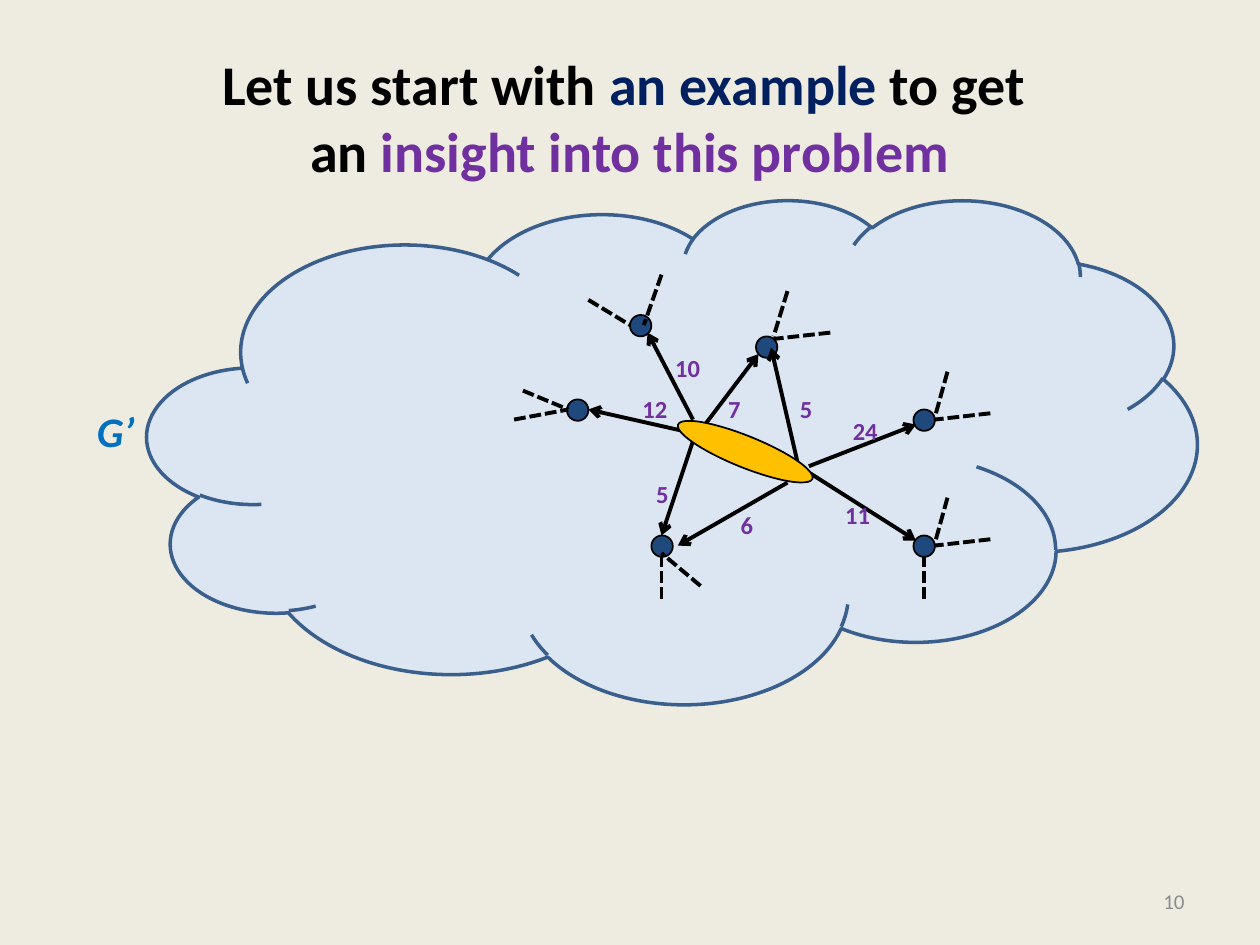
"""Build a slide showing a contracted node and its weighted edges inside a cloud graph."""
from dataclasses import dataclass

from lxml import etree
from pptx import Presentation
from pptx.dml.color import RGBColor
from pptx.enum.dml import MSO_LINE
from pptx.enum.shapes import MSO_CONNECTOR, MSO_SHAPE
from pptx.enum.text import MSO_ANCHOR, MSO_AUTO_SIZE, PP_ALIGN
from pptx.oxml.ns import qn
from pptx.util import Pt

CLOUD, ELLIPSE = MSO_SHAPE.CLOUD, MSO_SHAPE.OVAL
STRAIGHT = MSO_CONNECTOR.STRAIGHT
DASH = MSO_LINE.SQUARE_DOT
MIDDLE, TOP = MSO_ANCHOR.MIDDLE, MSO_ANCHOR.TOP
CENTER, LEFT, RIGHT = PP_ALIGN.CENTER, PP_ALIGN.LEFT, PP_ALIGN.RIGHT
GROW, FIXED = MSO_AUTO_SIZE.SHAPE_TO_FIT_TEXT, MSO_AUTO_SIZE.NONE
EMU_PER_PX = 9144
TITLE_ONLY = 5
NODE_SIZE = 17


@dataclass(frozen=True)
class Theme:
    """Colours, font and type sizes of the slide."""

    font: str = "Calibri"
    background: str = "EEECE1"
    ink: str = "000000"
    navy: str = "002060"
    purple: str = "7030A0"
    blue: str = "0070C0"
    gray: str = "8C8C8C"
    cloud: str = "DCE6F2"
    cloud_line: str = "3A5F8C"
    node: str = "1F497D"
    hub: str = "FFC000"
    title_size: int = 32
    graph_size: int = 24
    weight_size: int = 14
    number_size: int = 12
    cloud_width: float = 2
    edge_width: float = 2.25
    outline_width: float = 1


def px(*lengths):
    """Turn px lengths into EMU."""
    return [length * EMU_PER_PX for length in lengths]


class Canvas:
    """Hold the theme and the current slide."""

    def __init__(self, page, theme):
        self.page = page
        self.theme = theme
        fill = page.background.fill
        fill.solid()
        fill.fore_color.rgb = RGBColor.from_string(theme.background)

    def span(self, para, text, size, color, bold=True, italic=False):
        """Add one formatted run."""
        span = para.add_run()
        span.text = text
        font = span.font
        font.name, font.size = self.theme.font, Pt(size)
        font.bold, font.italic = bold, italic
        font.color.rgb = RGBColor.from_string(color)

    def title(self, bounds, lines):
        """Fill the title placeholder with lines of coloured runs."""
        box = self.page.shapes.title
        box.left, box.top, box.width, box.height = px(*bounds)
        frame = box.text_frame
        frame.vertical_anchor = MIDDLE
        para = frame.paragraphs[0]
        para.alignment = CENTER
        for index, line in enumerate(lines):
            if index:
                para.add_line_break()
            for text, color in line:
                self.span(para, text, self.theme.title_size, color)

    def text(self, bounds, text, size, color, bold=True, italic=False,
             align=LEFT, anchor=TOP, wrap=False):
        """Add a one-line text box."""
        frame = self.page.shapes.add_textbox(*px(*bounds)).text_frame
        frame.word_wrap = wrap
        frame.auto_size = FIXED if wrap else GROW
        frame.vertical_anchor = anchor
        para = frame.paragraphs[0]
        para.alignment = align
        self.span(para, text, size, color, bold, italic)

    def shape(self, kind, bounds, fill, line, width, rotation=0):
        """Add a filled and outlined preset shape."""
        shape = self.page.shapes.add_shape(kind, *px(*bounds))
        shape.shadow.inherit = False
        shape.rotation = rotation
        shape.fill.solid()
        shape.fill.fore_color.rgb = RGBColor.from_string(fill)
        shape.line.color.rgb = RGBColor.from_string(line)
        shape.line.width = Pt(width)

    def node(self, left, top):
        """Add a round graph node."""
        self.shape(ELLIPSE, (left, top, NODE_SIZE, NODE_SIZE),
                   self.theme.node, self.theme.ink, self.theme.outline_width)

    def edge(self, start, end, dashed=False):
        """Add a dashed stub or a solid arrow."""
        edge = self.page.shapes.add_connector(STRAIGHT, *px(*start, *end))
        edge.line.color.rgb = RGBColor.from_string(self.theme.ink)
        edge.line.width = Pt(self.theme.edge_width)
        properties = edge.element.spPr
        if dashed:
            edge.line.dash_style = DASH
        else:
            outline = properties.find(qn("a:ln"))
            etree.SubElement(outline, qn("a:tailEnd"), type="arrow")
        etree.SubElement(properties, qn("a:effectLst"))

    def weight(self, left, top, value):
        """Add an edge weight, its box as wide as its digits need."""
        text = str(value)
        self.text((left, top, 20 + 10 * len(text), 34), text,
                  self.theme.weight_size, self.theme.purple)


NODES = [(600, 267), (517, 425), (450, 317), (500, 250), (725, 325), (725, 425)]

STUBS = [
    ((659, 264), (614, 269)), ((625, 231), (614, 267)),
    ((525, 475), (525, 442)), ((556, 465), (525, 439)),
    ((408, 333), (451, 325)), ((415, 310), (451, 325)),
    ((467, 238), (500, 258)), ((525, 218), (511, 258)),
    ((733, 475), (733, 442)),
]
STUBS += [stub for drop in (0, 100) for stub in (
    ((786, 328 + drop), (742, 333 + drop)),
    ((752, 295 + drop), (742, 331 + drop)),
)]

WEIGHTED_EDGES = [
    ((542, 342), (467, 325), (500, 308), 12),
    ((550, 350), (525, 425), (511, 375), 5),
    ((550, 333), (514, 264), (526, 275), 10),
    ((558, 339), (602, 281), (568, 308), 7),
    ((642, 370), (727, 337), (667, 325), 24),
    ((642, 375), (727, 429), (661, 392), 11),
    ((633, 367), (612, 276), (625, 308), 5),
    ((625, 383), (538, 433), (578, 400), 6),
]


def main():
    """Build and save the deck."""
    theme = Theme()
    deck = Presentation()
    deck.slide_width, deck.slide_height = px(1000, 750)
    page = deck.slides.add_slide(deck.slide_layouts[TITLE_ONLY])
    canvas = Canvas(page, theme)

    canvas.title((50, 30, 900, 125), [
        [("Let us start with ", theme.ink), ("an example", theme.navy),
         (" to get ", theme.ink)],
        [("an ", theme.ink), ("insight into this problem", theme.purple)],
    ])
    canvas.text((717, 695, 233, 40), "10", theme.number_size, theme.gray,
                bold=False, align=RIGHT, anchor=MIDDLE, wrap=True)
    canvas.shape(CLOUD, (117, 158, 833, 400), theme.cloud, theme.cloud_line,
                 theme.cloud_width)
    canvas.text((67, 317, 50, 50), "G’", theme.graph_size, theme.blue,
                italic=True)

    for corner in NODES:
        canvas.node(*corner)
    for start, end in STUBS:
        canvas.edge(start, end, dashed=True)
    for start, end, corner, value in WEIGHTED_EDGES:
        canvas.edge(start, end)
        canvas.weight(*corner, value)
    canvas.shape(ELLIPSE, (534, 346, 115, 25), theme.hub, theme.ink,
                 theme.outline_width, rotation=22)

    deck.save("out.pptx")


if __name__ == "__main__":
    main()
